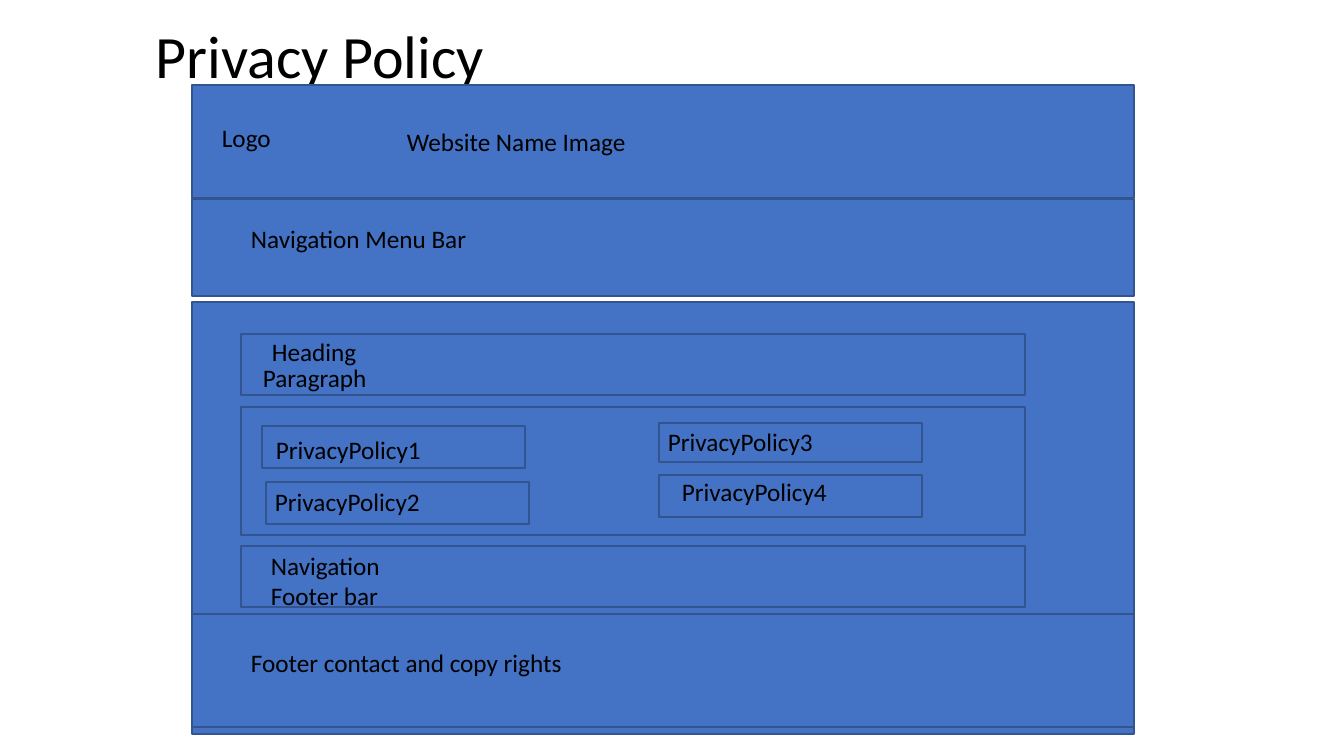
from typing import NamedTuple

from pptx import Presentation
from pptx.dml.color import RGBColor
from pptx.enum.shapes import MSO_SHAPE as Shape
from pptx.enum.text import MSO_ANCHOR as Anchor, MSO_AUTO_SIZE as Auto
from pptx.util import Emu, Pt

WIDE, HIGH = 1344, 756
SCALE = 12192000 / WIDE
FILL, EDGE, INK = "4472C4", "325491", "000000"


class Box(NamedTuple):
    """A wireframe block, in pixels."""
    left: int
    top: int
    width: int
    height: int


class Label(NamedTuple):
    """A line of text with its place in pixels."""
    text: str
    left: int
    top: int
    width: int
    height: int = 40
    format: dict = {"size": 18}


def emu(px: int) -> Emu:
    """Turn pixels into EMU."""
    return Emu(round(px * SCALE))


def tint(code: str) -> RGBColor:
    """Turn a hex string into a colour."""
    return RGBColor.from_string(code)


def apply(part: object, values: dict) -> None:
    """Set each value as an attribute of the part."""
    for name, value in values.items():
        setattr(part, name, value)


def draw_box(slide, box: Box) -> None:
    """Draw one filled block with a thin edge."""
    block = slide.shapes.add_shape(Shape.RECTANGLE, *map(emu, box))
    block.shadow.inherit = False
    block.fill.solid()
    block.fill.fore_color.rgb = tint(FILL)
    block.line.color.rgb = tint(EDGE)
    block.line.width = Pt(1)


def draw_label(slide, label: Label, frame: dict, space: float = 1.0) -> None:
    """Draw one label with its text frame settings and line spacing."""
    text = slide.shapes.add_textbox(*map(emu, label[1:5])).text_frame
    apply(text, {"word_wrap": True, **frame})
    para = text.paragraphs[0]
    para.line_spacing = space
    run = para.add_run()
    run.text = label.text
    apply(run.font, {"name": "Calibri", "size": Pt(label.format["size"])})
    run.font.color.rgb = tint(INK)


TITLE = Label("Privacy Policy", 146, 24, 1008, 74, {"size": 42.9})

BANDS = [(85, 113), (199, 97), (302, 432), (614, 113)]
PANELS = [(334, 61), (407, 128), (546, 61)]
CARDS = [(262, 426, 42), (659, 423, 39), (266, 482, 42), (659, 475, 42)]
BOXES = (
    [Box(192, top, 942, height) for top, height in BANDS]
    + [Box(241, top, 784, height) for top, height in PANELS]
    + [Box(left, top, 263, height) for left, top, height in CARDS]
)

SPOTS = [(266, 429), (265, 481), (658, 421), (672, 471)]
LABELS = [
    Label("Logo", 212, 117, 174),
    Label("Website Name Image", 397, 121, 521),
    Label("Navigation Menu Bar", 241, 218, 313),
    Label("Heading", 262, 331, 167),
    Label("Paragraph", 253, 357, 169),
    Label("Navigation Footer bar", 261, 545, 169, 72),
    Label("Footer contact and copy rights", 241, 642, 607),
] + [
    Label(f"PrivacyPolicy{num}", left, top, 169)
    for num, (left, top) in enumerate(SPOTS, 1)
]


def main() -> None:
    """Build the slide and save it."""
    deck = Presentation()
    apply(deck, {"slide_width": emu(WIDE), "slide_height": emu(HIGH)})
    slide = deck.slides.add_slide(deck.slide_layouts[6])
    draw_label(slide, TITLE, {"vertical_anchor": Anchor.MIDDLE}, 0.8)
    for box in BOXES:
        draw_box(slide, box)
    for label in LABELS:
        draw_label(slide, label, {"auto_size": Auto.SHAPE_TO_FIT_TEXT})
    deck.save("out.pptx")


main()
